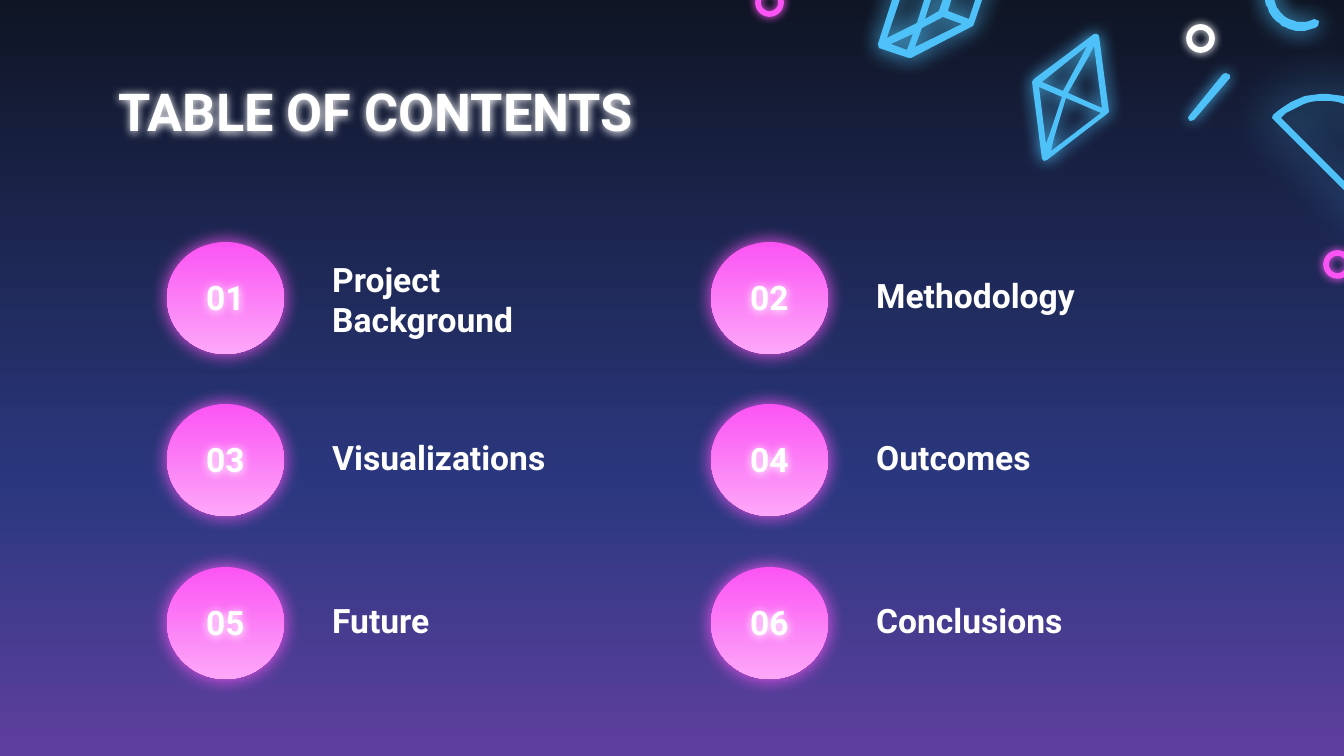
import math

import pptx
import pptx.dml.color
import pptx.enum.shapes
import pptx.enum.text
import pptx.oxml
import pptx.oxml.ns
import pptx.util

PX = 914400 / 134.4
FONT = "Roboto"
WHITE, PINK, ROSE, BLUE = "FFFFFF", "FB54F4", "FDA7F9", "4FC1F9"
NIGHT = [(0, "0F1524"), (65, "2B3880"), (100, "5F3F9E")]
OVAL = pptx.enum.shapes.MSO_SHAPE.OVAL
ALIGN = pptx.enum.text.PP_ALIGN
ANCHOR = pptx.enum.text.MSO_ANCHOR
NS = pptx.oxml.ns.nsdecls("a")


def px(num):
    return pptx.util.Emu(round(num * PX))


def rgb(code):
    return pptx.dml.color.RGBColor.from_string(code)


def arc(mid, size, start, end):
    """Points on a circle, in steps of about six degrees."""
    count = max(2, abs(end - start) // 6)
    turns = [math.radians(start + (end - start) * i / count)
             for i in range(count + 1)]
    return [(mid[0] + size * math.cos(t), mid[1] + size * math.sin(t))
            for t in turns]


class Deck:
    def __init__(self):
        self.file = pptx.Presentation()
        self.file.slide_width, self.file.slide_height = px(1344), px(756)
        self.slide = self.file.slides.add_slide(self.file.slide_layouts[5])
        self.shapes = self.slide.shapes

    def blend(self, fill, owner, stops):
        """Fill from top to bottom through the given stops."""
        fill.gradient()
        fill.gradient_angle = 270
        node = next(owner.iter(pptx.oxml.ns.qn("a:gsLst")))
        for old in list(node):
            node.remove(old)
        for spot, code in stops:
            node.append(pptx.oxml.parse_xml(
                f'<a:gs {NS} pos="{spot * 1000}"><a:srgbClr val="{code}"/></a:gs>'))

    def glow(self, shape, code, blur):
        shape.shadow.inherit = False
        node = next(shape.element.iter(pptx.oxml.ns.qn("a:effectLst")))
        node.append(pptx.oxml.parse_xml(
            f'<a:outerShdw {NS} blurRad="{pptx.util.Pt(blur)}" dist="0" '
            f'algn="ctr" rotWithShape="0"><a:srgbClr val="{code}"/></a:outerShdw>'))

    def ring(self, x, y, code):
        shape = self.shapes.add_shape(OVAL, px(x), px(y), px(23), px(23))
        shape.fill.background()
        shape.line.color.rgb = rgb(code)
        shape.line.width = pptx.util.Pt(3)
        self.glow(shape, code, 4.5)

    def disc(self, x, y):
        shape = self.shapes.add_shape(OVAL, px(x), px(y), px(117), px(112))
        self.blend(shape.fill, shape.element, [(0, PINK), (100, ROSE)])
        shape.line.fill.background()
        self.glow(shape, PINK, 10)

    def neon(self, blur, *loops):
        """Draw an outline; loops after the first are holes."""
        pen = self.shapes.build_freeform(*loops[0][0], scale=PX)
        for i, loop in enumerate(loops):
            if i:
                pen.move_to(*loop[0])
            pen.add_line_segments(loop[1:], close=True)
        shape = pen.convert_to_shape()
        shape.fill.solid()
        shape.fill.fore_color.rgb = rgb(BLUE)
        shape.line.fill.background()
        self.glow(shape, BLUE, blur)

    def text(self, box, words, size, anchor, align=ALIGN.LEFT):
        frame = box.text_frame
        frame.word_wrap = True
        frame.auto_size = pptx.enum.text.MSO_AUTO_SIZE.NONE
        frame.vertical_anchor = anchor
        frame.margin_left = frame.margin_right = pptx.util.Inches(0.1)
        frame.margin_top = frame.margin_bottom = pptx.util.Inches(0.1)
        frame.text = words
        para = frame.paragraphs[0]
        para.alignment = align
        para.font.name, para.font.bold = FONT, True
        para.font.size = pptx.util.Pt(size)
        para.font.color.rgb = rgb(WHITE)

    def title(self, words):
        box = self.shapes.title
        box.left, box.top, box.width, box.height = map(px, (105, 66, 1134, 85))
        box.fill.background()
        self.text(box, words, 28, ANCHOR.TOP)
        self.glow(box, WHITE, 5)

    def label(self, x, y, width, words, *place):
        box = self.shapes.add_textbox(px(x), px(y), px(width), px(63))
        self.text(box, words, 18, *place)
        return box


def main():
    deck = Deck()
    deck.blend(deck.slide.background.fill, deck.slide.element, NIGHT)

    # Small rings
    deck.ring(1189, 27, WHITE)
    deck.ring(1326, 253, PINK)
    deck.ring(758, -9, PINK)

    # Open arc with round ends
    mid = (1301, -5)
    deck.neon(12, arc(mid, 36, 61, 213) + arc(mid, 32, 217, 217)[:1]
              + arc(mid, 27, 213, 61) + arc(mid, 32, 55, 55)[:1])

    # Crystal
    deck.neon(
        9,
        [(1094, 34), (1034, 79), (1032, 82), (1042, 159), (1044, 161),
         (1047, 160), (1107, 114), (1109, 112), (1099, 36), (1097, 34)],
        [(1094, 46), (1102, 108), (1068, 93), (1089, 56)],
        [(1087, 46), (1082, 56), (1063, 91), (1042, 82)],
        [(1062, 97), (1050, 133), (1046, 144), (1039, 87)],
        [(1101, 113), (1051, 151), (1054, 138), (1066, 98)])

    # Dash
    deck.neon(8, [(1226, 73), (1223, 74), (1189, 116), (1188, 118),
                  (1190, 121), (1194, 120), (1230, 78), (1230, 75)])

    # Prism
    deck.neon(
        12,
        [(974, -81), (972, -81), (910, -50), (907, -47), (878, 44), (879, 48),
         (909, 58), (911, 58), (973, 26), (974, 24), (1005, -67), (1004, -71)],
        [(992, -67), (969, -56), (974, -73)],
        [(966, -70), (961, -51), (939, -40), (921, -47)],
        [(995, -60), (969, 19), (948, 11), (966, -47)],
        [(957, -42), (939, 11), (925, 19), (942, -34)],
        [(935, -35), (917, 23), (887, 38), (914, -42)],
        [(962, 24), (915, 47), (922, 28), (943, 17)],
        [(913, 34), (907, 50), (891, 44)])

    # Half disc
    mid = (1324, 166)
    deck.neon(27, arc(mid, 72, 225, 405)
              + [(1372, 217), (1369, 215), (1274, 120), (1272, 118)],
              arc(mid, 65, 228, 402))

    # Title and numbered topics, two to a row
    deck.title("TABLE OF CONTENTS")
    topics = ["Project Background", "Methodology", "Visualizations",
              "Outcomes", "Future", "Conclusions"]
    for i, topic in enumerate(topics):
        row, col = divmod(i, 2)
        x, y = 167 + 544 * col, 242 + 325 * row // 2
        drop = 48 if i == 0 else 24  # the first topic takes two lines
        deck.disc(x, y)
        deck.label(x + 152, y + drop, 316, topic, ANCHOR.BOTTOM)
        num = deck.label(x + 16, y + 24, 85, f"{i + 1:02}",
                         ANCHOR.MIDDLE, ALIGN.CENTER)
        deck.glow(num, WHITE, 5)

    deck.file.save("out.pptx")


if __name__ == "__main__":
    main()
